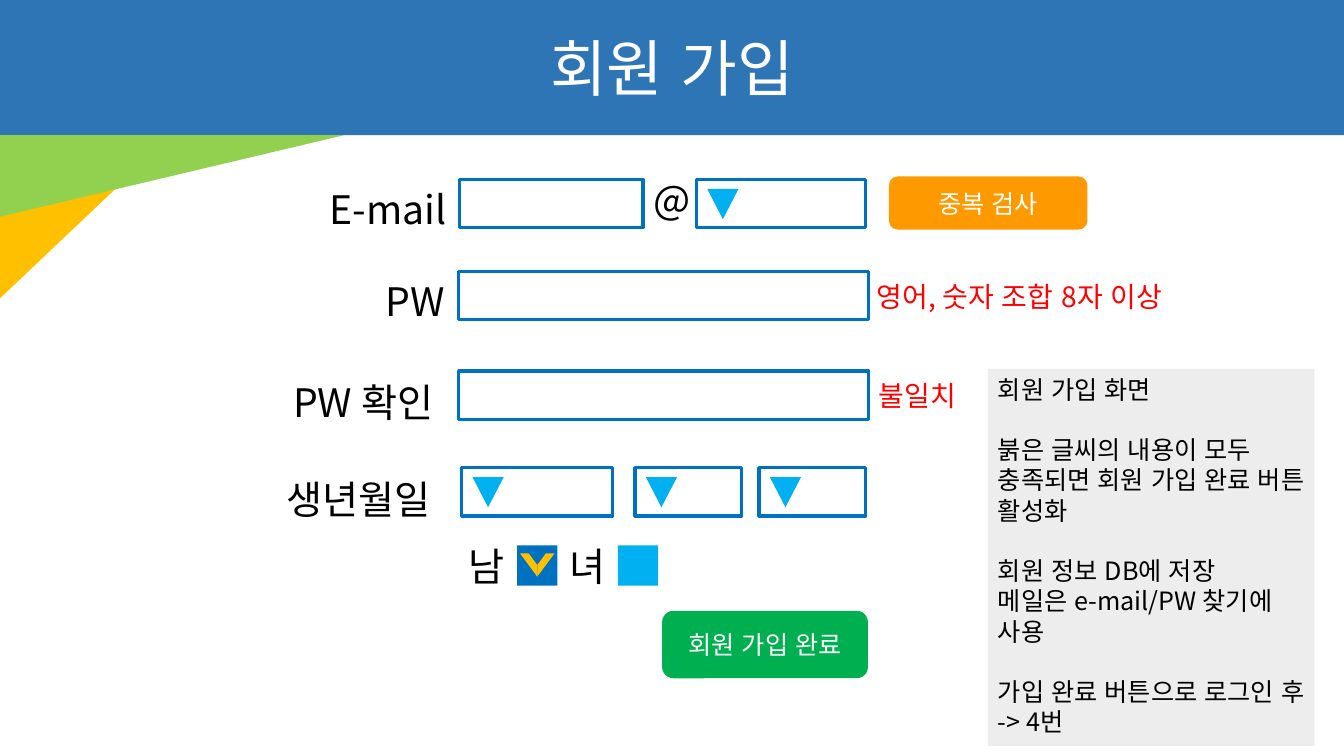
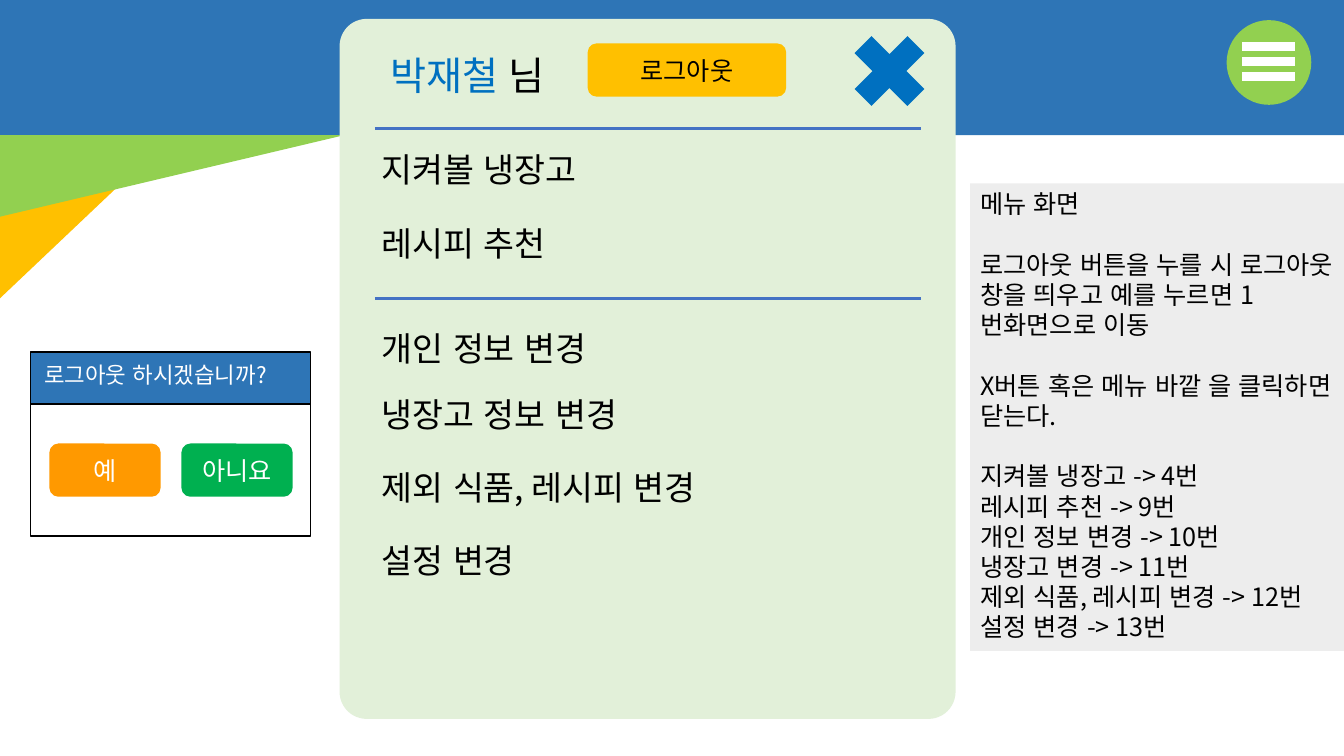
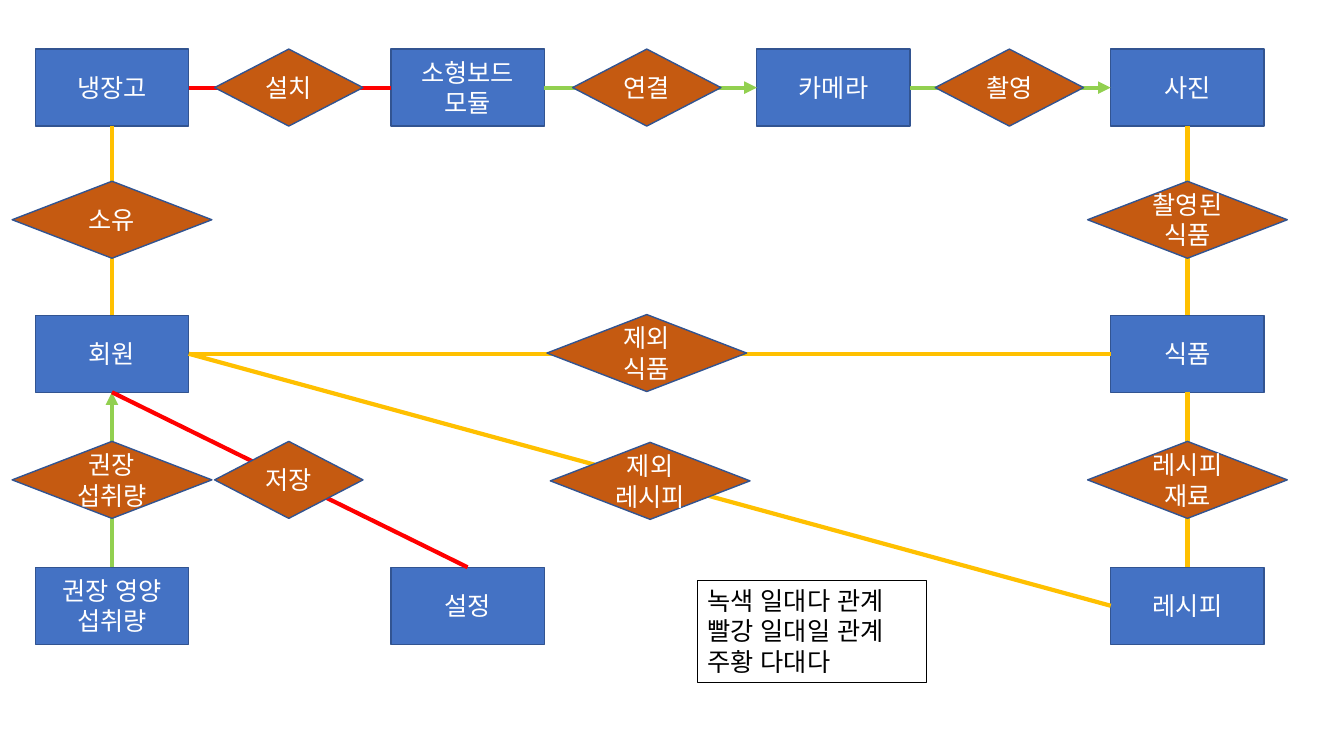
from lxml.etree import SubElement
from pptx import Presentation
from pptx.dml.color import RGBColor
from pptx.enum.lang import MSO_LANGUAGE_ID
from pptx.enum.shapes import MSO_CONNECTOR, MSO_SHAPE
from pptx.enum.text import MSO_ANCHOR, MSO_AUTO_SIZE, PP_ALIGN
from pptx.oxml.ns import qn
from pptx.util import Pt

# Shared look
FONT = "Noto Sans CJK KR"
WHITE, BLACK, RED, GREY = "FFFFFF", "000000", "FF0000", "EDEDED"
BAND, BLUE, SKY = "2E75B6", "0070C0", "00B0F0"
LIME, GREEN, AMBER, ORANGE = "92D050", "00B050", "FFC000", "FF9900"
PANEL, ENTITY, RELATION, OUTLINE = "E2F0D9", "4472C4", "C55A11", "325491"
TITLE_AND_BODY, BLANK = 1, 6
LINE_HEIGHT = 1.2
TOP, LEFT, BOTTOM, RIGHT = range(4)

# Sign-up: text, left, top, width
FORM_LABELS = [
    ("E-mail", 228.2, 128.9, 104), ("@", 459.4, 121.7, 48),
    ("PW", 268.6, 194.4, 64), ("PW 확인", 202.3, 266.4, 132),
    ("생년월일", 197.3, 336.2, 132),
]
WARNINGS = [
    ("영어, 숫자 조합 8자 이상", 619.2, 195.8, 263),
    ("불일치", 620.6, 267.1, 105),
]
# left, top, width, is a drop-down
FIELDS = [
    (328.3, 128.2, 131, False), (497.5, 128.2, 121, True),
    (327.6, 193.7, 293, False), (327.6, 265, 293, False),
    (329.8, 334, 108, True), (453.6, 334, 76.3, True), (542.2, 334, 76.3, True),
]
FIELD_HEIGHT = 34.6
GENDERS = [("남", BLUE), ("녀", SKY)]
SIGN_UP_NOTES = [
    ["회원 가입 화면"],
    ["붉은 글씨의 내용이 모두 충족되면 회원 가입 완료 버튼 활성화"],
    ["회원 정보 DB에 저장", "메일은 e-mail/PW 찾기에 사용"],
    ["가입 완료 버튼으로 로그인 후 -> 4번"],
]

# Menu: text, top
MENU_ITEMS = [
    ("지켜볼 냉장고", 103), ("레시피 추천", 155.5), ("개인 정보 변경", 231),
    ("냉장고 정보 변경", 278), ("제외 식품, 레시피 변경", 330), ("설정 변경", 382),
]
MENU_RULES = [91.6, 213]
MENU_NOTES = [
    ["메뉴 화면"],
    ["로그아웃 버튼을 누를 시 로그아웃 창을 띄우고 예를 누르면 1번화면으로 이동"],
    ["X버튼 혹은 메뉴 바깥 을 클릭하면 닫는다."],
    ["지켜볼 냉장고 -> 4번", "레시피 추천 -> 9번", "개인 정보 변경 -> 10번",
     "냉장고 변경 -> 11번", "제외 식품, 레시피 변경 -> 12번", "설정 변경 -> 13번"],
]

# Data model: entity -> (column, row)
COLUMNS = [80, 334, 595.4, 848.2]
ROWS = [62.6, 252.7, 432.7]
ENTITIES = {
    "냉장고": (0, 0), "소형보드\n모듈": (1, 0), "카메라": (2, 0), "사진": (3, 0),
    "회원": (0, 1), "식품": (3, 1),
    "권장 영양 섭취량": (0, 2), "설정": (1, 2), "레시피": (3, 2),
}
ENTITY_WIDTH, NODE_HEIGHT = 109.6, 55
NARROW, WIDE = 106, 142.6
# relation, centre x, centre y, width, colour, from, side, to, side
RELATIONS = [
    ("설치", 206.3, 62.6, NARROW, RED, "소형보드\n모듈", LEFT, "냉장고", RIGHT),
    ("연결", 462, 62.6, NARROW, LIME, "소형보드\n모듈", RIGHT, "카메라", LEFT),
    ("촬영", 721, 62.6, NARROW, LIME, "카메라", RIGHT, "사진", LEFT),
    ("소유", 80, 157, WIDE, AMBER, "냉장고", BOTTOM, "회원", TOP),
    ("촬영된 식품", 848.2, 157, WIDE, AMBER, "식품", TOP, "사진", BOTTOM),
    ("제외 식품", 462, 252.2, WIDE, AMBER, "식품", LEFT, "회원", RIGHT),
    ("제외 레시피", 464.4, 343.5, WIDE, AMBER, "레시피", LEFT, "회원", RIGHT),
    ("권장 섭취량", 80, 342.8, WIDE, LIME, "권장 영양 섭취량", TOP, "회원", BOTTOM),
    ("저장", 206.3, 342.8, NARROW, RED, "설정", TOP, "회원", BOTTOM),
    ("레시피\n재료", 848.2, 342.8, WIDE, AMBER, "식품", BOTTOM, "레시피", TOP),
]
LEGEND = "녹색 일대다 관계\n빨강 일대일 관계\n주황 다대다"


def rgb(colour):
    return RGBColor.from_string(colour)


def box_of(*lengths):
    return [Pt(length) for length in lengths]


def style_text(shape, size, colour, align=PP_ALIGN.LEFT, anchor=MSO_ANCHOR.TOP):
    frame = shape.text_frame
    frame.word_wrap = True
    frame.auto_size = MSO_AUTO_SIZE.NONE
    frame.vertical_anchor = anchor
    for paragraph in frame.paragraphs:
        paragraph.alignment = align
        paragraph.line_spacing = Pt(size * LINE_HEIGHT)
        paragraph.space_before = Pt(0)
        for run in paragraph.runs:
            run.font.size = Pt(size)
            run.font.name = FONT
            run.font.color.rgb = rgb(colour)
            run.font.language_id = MSO_LANGUAGE_ID.KOREAN
    for properties in shape.element.iter(qn("a:rPr")):
        SubElement(properties, qn("a:ea"), typeface=FONT)


def add_part(slide, preset, box, fill=None, line=None, weight=1, flip=None):
    part = slide.shapes.add_shape(preset, *box_of(*box))
    part.shadow.inherit = False
    if fill:
        part.fill.solid()
        part.fill.fore_color.rgb = rgb(fill)
    else:
        part.fill.background()
    if line:
        part.line.color.rgb = rgb(line)
        part.line.width = Pt(weight)
    else:
        part.line.fill.background()
    if flip:
        part.element.spPr.xfrm.set(flip, "1")
    return part


def add_node(slide, preset, text, box, fill, line=None, colour=WHITE):
    node = add_part(slide, preset, box, fill, line)
    node.text_frame.text = text
    style_text(node, 18, colour, PP_ALIGN.CENTER, MSO_ANCHOR.MIDDLE)
    return node


def add_button(slide, text, box, fill, colour=WHITE):
    add_node(slide, MSO_SHAPE.ROUNDED_RECTANGLE, text, box, fill, colour=colour)


def add_label(slide, text, box, size, colour=BLACK):
    label = slide.shapes.add_textbox(*box_of(*box))
    label.text_frame.text = text
    style_text(label, size, colour)


def add_line(slide, colour, weight, ends=(0, 0, 0, 0)):
    line = slide.shapes.add_connector(MSO_CONNECTOR.STRAIGHT, *box_of(*ends))
    line.line.color.rgb = rgb(colour)
    line.line.width = Pt(weight)
    SubElement(line.element.spPr, qn("a:effectLst"))
    return line


def place(shape, box):
    shape.left, shape.top, shape.width, shape.height = box_of(*box)


def fill_notes(slide, groups, box):
    notes = slide.placeholders[1]
    place(notes, box)
    notes.fill.solid()
    notes.fill.fore_color.rgb = rgb(GREY)
    notes.text_frame.text = "\n".join(line for group in groups for line in group)
    style_text(notes, 18, BLACK)
    start = 0
    for group in groups:
        if start:
            notes.text_frame.paragraphs[start].space_before = Pt(18 * LINE_HEIGHT)
        start += len(group)
    for properties in notes.element.iter(qn("a:pPr")):
        properties.set("marL", "0")
        properties.set("indent", "0")
        SubElement(properties, qn("a:buNone"))
    return notes


def add_screen(deck):
    """Slide with the blue band and the two corner triangles."""
    slide = deck.slides.add_slide(deck.slide_layouts[TITLE_AND_BODY])
    add_part(slide, MSO_SHAPE.RECTANGLE, (0, 0, 960, 96.5), BAND)
    for width, height, colour in [(123, 116.6, AMBER), (246.2, 58.3, LIME)]:
        add_part(slide, MSO_SHAPE.RIGHT_TRIANGLE, (0, 96.5, width, height),
                 colour, flip="flipV")
    return slide


def raise_title(slide, box):
    title = slide.shapes.title
    title.element.getparent().append(title.element)
    place(title, box)
    return title


def build_sign_up(deck):
    slide = add_screen(deck)
    title = raise_title(slide, (308.9, 18, 342.7, 60.5))
    title.text_frame.text = "회원 가입"
    style_text(title, 44, WHITE, PP_ALIGN.CENTER)
    fill_notes(slide, SIGN_UP_NOTES, (705.6, 263.5, 233.3, 269.3))

    # Form fields and their labels
    for left, top, width, is_dropdown in FIELDS:
        add_part(slide, MSO_SHAPE.RECTANGLE, (left, top, width, FIELD_HEIGHT),
                 line=BLUE, weight=2.25)
        if is_dropdown:
            add_part(slide, MSO_SHAPE.ISOSCELES_TRIANGLE,
                     (left + 7.7, top + 6.8, 22.3, 21.6), SKY, flip="flipV")
    for text, left, top, width in FORM_LABELS:
        add_label(slide, text, (left, top, width, 41), 28)
    for text, left, top, width in WARNINGS:
        add_label(slide, text, (left, top, width, 31.7), 20, RED)

    # Gender check boxes, the first one ticked
    for index, (gender, colour) in enumerate(GENDERS):
        left = 327.6 + 72 * index
        add_label(slide, gender, (left, 383.8, 44, 41), 28)
        add_part(slide, MSO_SHAPE.RECTANGLE, (left + 41.8, 389.5, 28.8, 28.8), colour)
    for left, flip in [(383.8, None), (371.5, "flipH")]:
        add_part(slide, MSO_SHAPE.DIAGONAL_STRIPE, (left, 395.3, 12.3, 16.6),
                 AMBER, flip=flip)

    add_button(slide, "중복 검사", (635, 126, 141.8, 38), ORANGE)
    add_button(slide, "회원 가입 완료", (473, 436.3, 147, 48.2), GREEN)


def build_menu(deck):
    slide = add_screen(deck)
    notes = fill_notes(slide, MENU_NOTES, (693, 131, 267, 334))
    notes.text_frame.margin_right = Pt(0)

    # Menu icon
    add_part(slide, MSO_SHAPE.OVAL, (876.2, 14.4, 60.5, 60.5), LIME)
    for index in range(3):
        add_part(slide, MSO_SHAPE.MATH_MINUS,
                 (880.6, 18.7 + 10.8 * index, 51.1, 28.8), WHITE)

    # Logout dialog
    for top, fill in [(251.3, BAND), (288.7, WHITE)]:
        add_part(slide, MSO_SHAPE.RECTANGLE, (21.6, top, 200.2, 94.3), fill, BLACK)
    add_label(slide, "로그아웃 하시겠습니까?", (24.5, 254.2, 196.6, 26), 16, WHITE)
    for text, left, fill in [("예", 35.3, ORANGE), ("아니요", 129.6, GREEN)]:
        add_button(slide, text, (left, 316.8, 79.4, 38), fill)

    # Menu panel
    panel = add_part(slide, MSO_SHAPE.ROUNDED_RECTANGLE, (242.6, 13.5, 440, 500), PANEL)
    panel.adjustments[0] = 0.044
    for top in MENU_RULES:
        add_line(slide, ENTITY, 2.25, (267.8, top, 658, top))
    for text, top in MENU_ITEMS:
        add_label(slide, text, (265.7, top, 398.9, 36), 24)
    add_button(slide, "로그아웃", (419.8, 31, 141.8, 38), AMBER, BLACK)
    add_part(slide, MSO_SHAPE.MATH_MULTIPLY, (599, 14.4, 72.7, 72.7), BLUE)

    member = raise_title(slide, (271.4, 33.1, 140, 41))
    greeting = member.text_frame.paragraphs[0]
    greeting.text = "박재철"
    greeting.add_run().text = " 님"
    style_text(member, 28, BLACK)
    greeting.runs[0].font.color.rgb = rgb(BLUE)


def build_data_model(deck):
    slide = deck.slides.add_slide(deck.slide_layouts[BLANK])

    def add_centred(preset, text, x, y, width, fill):
        box = (x - width / 2, y - NODE_HEIGHT / 2, width, NODE_HEIGHT)
        return add_node(slide, preset, text, box, fill, OUTLINE)

    entities = {
        name: add_centred(MSO_SHAPE.RECTANGLE, name, COLUMNS[column], ROWS[row],
                          ENTITY_WIDTH, ENTITY)
        for name, (column, row) in ENTITIES.items()
    }

    # Links first, so that the diamonds cover them
    for *_, colour, source, source_side, target, target_side in RELATIONS:
        link = add_line(slide, colour, 3)
        link.begin_connect(entities[source], source_side)
        link.end_connect(entities[target], target_side)
        if colour == LIME:
            SubElement(link.element.spPr.get_or_add_ln(), qn("a:tailEnd"),
                       type="triangle")
    for text, x, y, width, *_ in RELATIONS:
        add_centred(MSO_SHAPE.DIAMOND, text, x, y, width, RELATION)

    legend = add_part(slide, MSO_SHAPE.RECTANGLE, (498.2, 414.7, 163.4, 72.7),
                      line=BLACK, weight=0.75)
    legend.text_frame.text = LEGEND
    style_text(legend, 18, BLACK)


def main():
    deck = Presentation()
    deck.slide_width, deck.slide_height = Pt(960), Pt(540)
    build_sign_up(deck)
    build_menu(deck)
    build_data_model(deck)
    deck.save("out.pptx")


if __name__ == "__main__":
    main()
